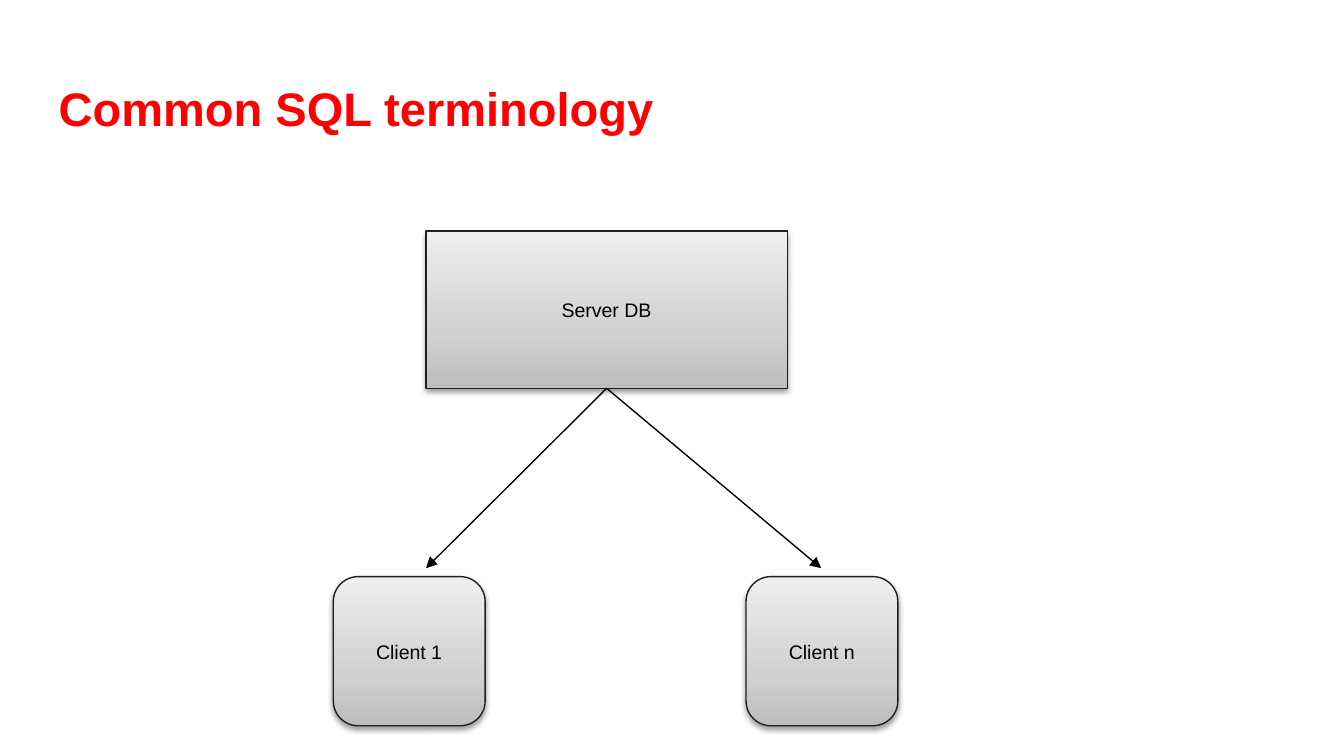
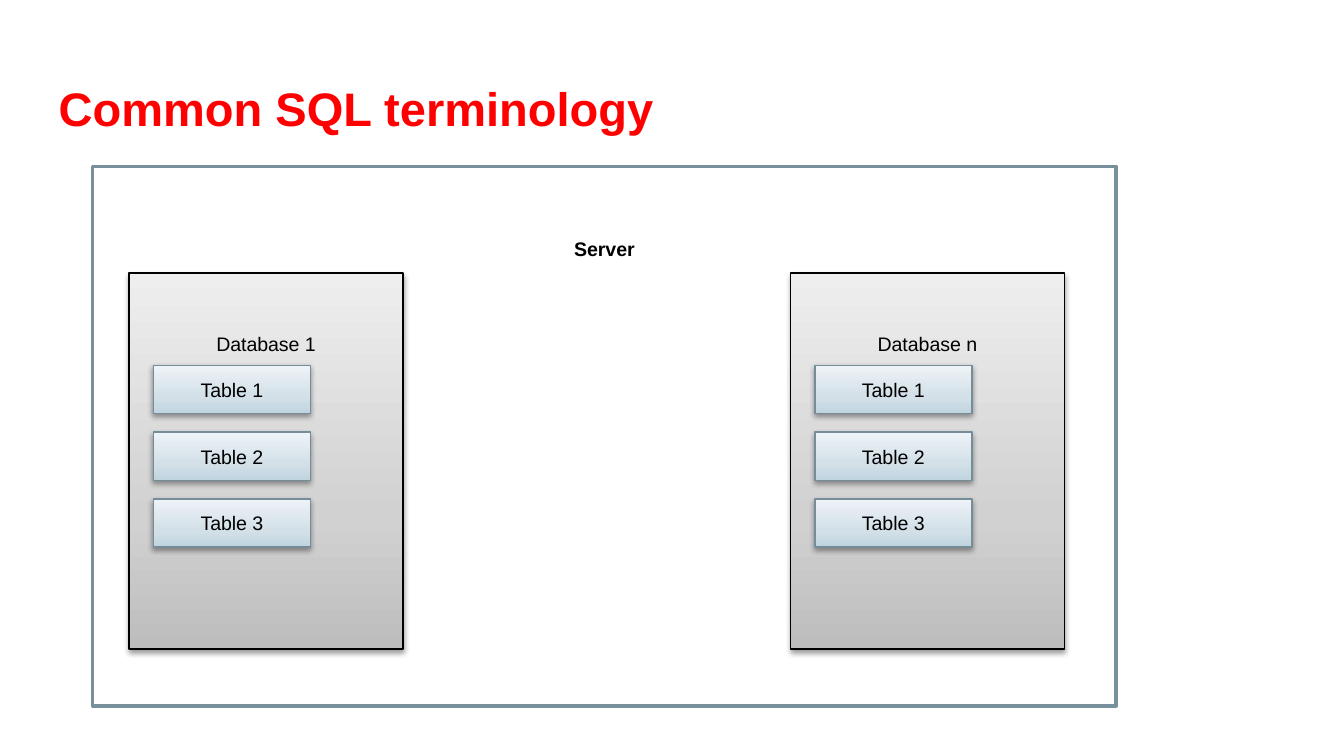
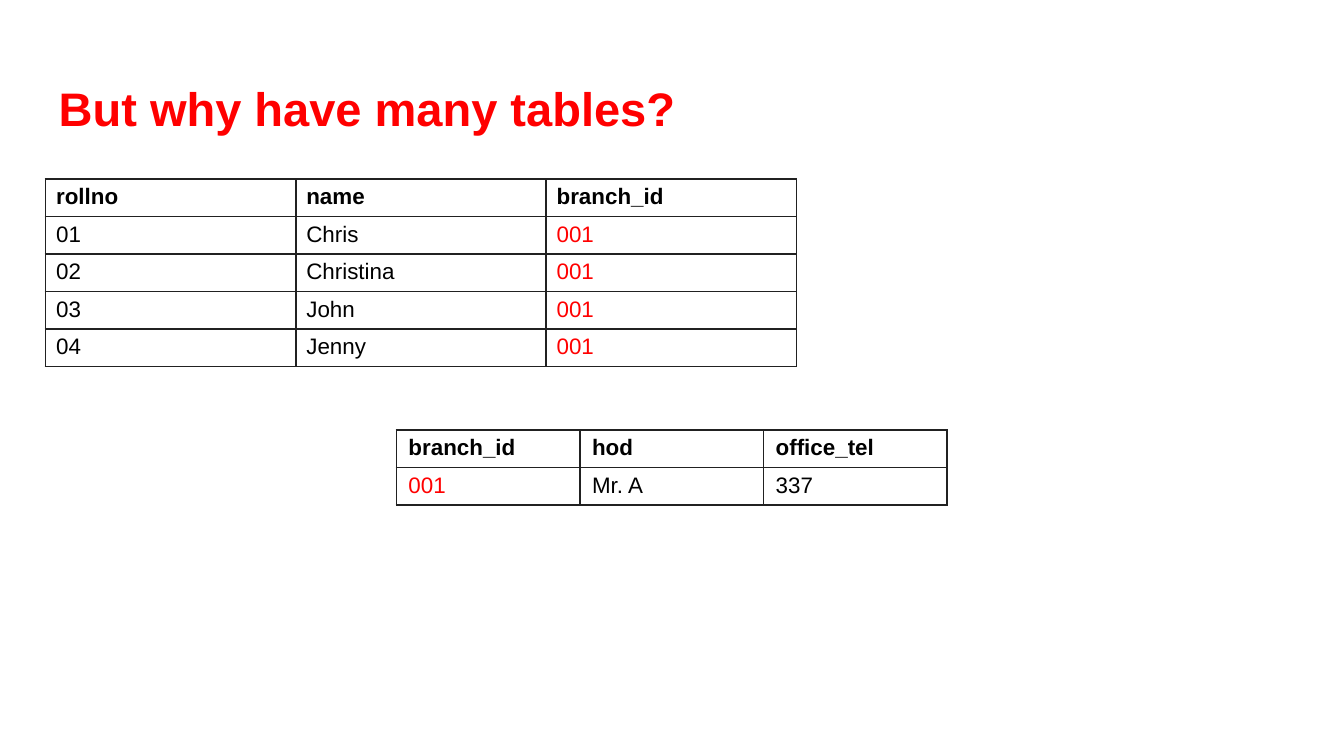
from dataclasses import dataclass

from lxml.etree import SubElement
from pptx import Presentation
from pptx.dml.color import RGBColor
from pptx.enum.shapes import MSO_CONNECTOR, MSO_SHAPE
from pptx.enum.text import MSO_ANCHOR, PP_ALIGN
from pptx.oxml.ns import qn
from pptx.util import Cm, Pt


@dataclass(frozen=True)
class Theme:
    font: str = "Arial"
    title_size: float = 25.2
    label_size: float = 10.5
    cell_size: float = 12
    accent: str = "FF0000"
    text: str = "000000"
    white: str = "FFFFFF"
    frame_line: str = "78909C"
    grey_line: str = "202020"
    blue_line: str = "748D99"
    cell_line: str = "212121"
    # Gradient stops from bottom to top
    grey: tuple = ((0, "BDBDBD"), (35, "D1D1D1"), (100, "EEEEEE"))
    blue: tuple = ((0, "C0D4E0"), (35, "D3E0E8"), (100, "EEF3F7"))
    thin: float = 0.75


THEME = Theme()

# Content; all lengths in centimetres
TERMINOLOGY_TITLE = "Common SQL terminology"
TABLES_TITLE = "But why have many tables?"
SERVER = ("Server DB", (8.05, 4.37, 6.83, 2.97))
# Client label, left edge, arrow tip
CLIENTS = [("Client 1", 6.3, 8.05), ("Client n", 14.1, 15.52)]
DATABASES = [("Database 1", 2.44), ("Database n", 14.94)]
TABLE_NAMES = ["Table 1", "Table 2", "Table 3"]
KEY_COLUMN = "branch_id"
DATA_TABLES = [
    {
        "rows": [
            ("rollno", "name", "branch_id"),
            ("01", "Chris", "001"),
            ("02", "Christina", "001"),
            ("03", "John", "001"),
            ("04", "Jenny", "001"),
        ],
        "left": 0.86, "top": 3.38, "column": 4.73, "margin": 0.2,
    },
    {
        "rows": [
            ("branch_id", "hod", "office_tel"),
            ("001", "Mr. A", "337"),
        ],
        "left": 7.49, "top": 8.13, "column": 3.47, "margin": 0.23,
    },
]
ROW_HEIGHT = 0.71


def add_run(paragraph, text, size, color=THEME.text, bold=False):
    run = paragraph.add_run()
    run.text = text
    run.font.name = THEME.font
    run.font.size = Pt(size)
    run.font.bold = bold
    run.font.color.rgb = RGBColor.from_string(color)


def add_titled_slide(presentation, title):
    slide = presentation.slides.add_slide(presentation.slide_layouts[6])
    box = slide.shapes.add_textbox(Cm(0.86), Cm(1.24), Cm(23.67), Cm(1.6))
    frame = box.text_frame
    frame.word_wrap = True
    frame.vertical_anchor = MSO_ANCHOR.MIDDLE
    frame.margin_left = frame.margin_right = Cm(0.25)
    frame.margin_top = frame.margin_bottom = Cm(0.25)
    add_run(frame.paragraphs[0], title, THEME.title_size, THEME.accent, True)
    return slide


def fill_gradient(shape, stops):
    shape.fill.gradient()
    shape.fill.gradient_angle = 90
    stop_list = shape._element.spPr.find(qn("a:gradFill")).find(qn("a:gsLst"))
    stop_list.clear()
    for position, color in stops:
        stop = SubElement(stop_list, qn("a:gs"), pos=str(position * 1000))
        SubElement(stop, qn("a:srgbClr"), val=color)


def add_shadow(shape):
    effects = shape._element.spPr.find(qn("a:effectLst"))
    shadow = SubElement(effects, qn("a:outerShdw"), blurRad=str(Pt(3.1)),
                        dist=str(Pt(1.6)), dir="5400000", rotWithShape="0")
    color = SubElement(shadow, qn("a:srgbClr"), val=THEME.text)
    SubElement(color, qn("a:alpha"), val="38000")


def add_block(slide, label, bounds, line, gradient=None, kind=MSO_SHAPE.RECTANGLE,
              line_width=THEME.thin, label_top=None, bold=False):
    """Add a labelled block; label_top moves the label from the middle to the top."""
    shape = slide.shapes.add_shape(kind, *map(Cm, bounds))
    shape.line.color.rgb = RGBColor.from_string(line)
    shape.line.width = Pt(line_width)
    shape.shadow.inherit = False
    if gradient:
        fill_gradient(shape, gradient)
        add_shadow(shape)
    else:
        shape.fill.solid()
        shape.fill.fore_color.rgb = RGBColor.from_string(THEME.white)
    frame = shape.text_frame
    frame.word_wrap = True
    frame.vertical_anchor = MSO_ANCHOR.MIDDLE
    if label_top is not None:
        frame.vertical_anchor = MSO_ANCHOR.TOP
        frame.margin_top = Cm(label_top)
    paragraph = frame.paragraphs[0]
    paragraph.alignment = PP_ALIGN.CENTER
    add_run(paragraph, label, THEME.label_size, bold=bold)
    return shape


def add_arrow(slide, source, tip_left, tip_top):
    arrow = slide.shapes.add_connector(
        MSO_CONNECTOR.STRAIGHT, 0, 0, Cm(tip_left), Cm(tip_top))
    arrow.begin_connect(source, 2)
    arrow.line.color.rgb = RGBColor.from_string(THEME.text)
    arrow.line.width = Pt(THEME.thin)
    SubElement(arrow.line._get_or_add_ln(), qn("a:tailEnd"), type="triangle")
    SubElement(arrow._element.spPr, qn("a:effectLst"))


def add_borders(cell):
    properties = cell._tc.get_or_add_tcPr()
    for index, side in enumerate(("lnL", "lnR", "lnT", "lnB")):
        border = SubElement(properties, qn(f"a:{side}"), w=str(Pt(1)))
        fill = SubElement(border, qn("a:solidFill"))
        SubElement(fill, qn("a:srgbClr"), val=THEME.cell_line)
        properties.insert(index, border)


def add_data_table(slide, data):
    rows = data["rows"]
    header = rows[0]
    table = slide.shapes.add_table(
        len(rows), len(header), Cm(data["left"]), Cm(data["top"]),
        Cm(data["column"] * len(header)), Cm(ROW_HEIGHT * len(rows))).table
    table.first_row = table.horz_banding = False
    for column in table.columns:
        column.width = Cm(data["column"])
    for row_index, values in enumerate(rows):
        table.rows[row_index].height = Cm(ROW_HEIGHT)
        for column_index, value in enumerate(values):
            cell = table.cell(row_index, column_index)
            cell.margin_left = cell.margin_right = Cm(data["margin"])
            cell.margin_top = cell.margin_bottom = Cm(0.1)
            cell.fill.background()
            add_borders(cell)
            is_header = row_index == 0
            is_key = header[column_index] == KEY_COLUMN and not is_header
            add_run(cell.text_frame.paragraphs[0], value, THEME.cell_size,
                    THEME.accent if is_key else THEME.text, is_header)


def build_client_slide(presentation):
    slide = add_titled_slide(presentation, TERMINOLOGY_TITLE)
    server = add_block(slide, *SERVER, THEME.grey_line, THEME.grey)
    for label, left, tip_left in CLIENTS:
        add_arrow(slide, server, tip_left, 10.74)
        add_block(slide, label, (left, 10.9, 2.87, 2.82), THEME.grey_line,
                  THEME.grey, MSO_SHAPE.ROUNDED_RECTANGLE)


def build_server_slide(presentation):
    slide = add_titled_slide(presentation, TERMINOLOGY_TITLE)
    add_block(slide, "Server", (1.75, 3.15, 19.35, 10.19), THEME.frame_line,
              line_width=2, label_top=1.32, bold=True)
    for label, left in DATABASES:
        add_block(slide, label, (left, 5.16, 5.18, 7.11), THEME.text,
                  THEME.grey, label_top=1.11)
        for index, name in enumerate(TABLE_NAMES):
            add_block(slide, name, (left + 0.46, 6.91 + index * 1.26, 2.97, 0.91),
                      THEME.blue_line, THEME.blue)


def build_tables_slide(presentation):
    slide = add_titled_slide(presentation, TABLES_TITLE)
    for data in DATA_TABLES:
        add_data_table(slide, data)


def main():
    presentation = Presentation()
    presentation.slide_width, presentation.slide_height = Cm(25.4), Cm(14.29)
    build_client_slide(presentation)
    build_server_slide(presentation)
    build_tables_slide(presentation)
    presentation.save("out.pptx")


if __name__ == "__main__":
    main()
